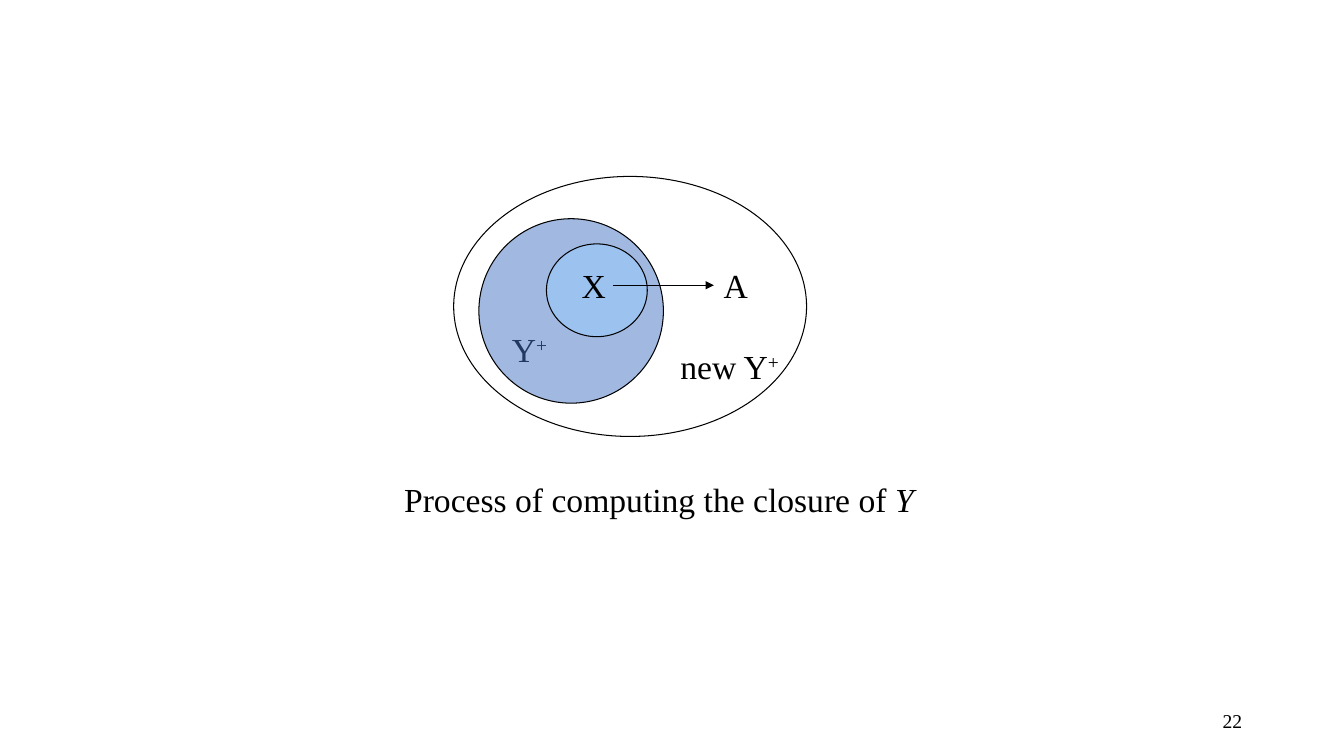
from pptx import Presentation
from pptx.dml.color import RGBColor
from pptx.enum.shapes import MSO_CONNECTOR, MSO_SHAPE
from pptx.enum.text import MSO_ANCHOR, MSO_AUTO_SIZE, PP_ALIGN
from pptx.oxml.ns import qn
from pptx.util import Inches, Pt
from lxml.etree import SubElement

BLACK = RGBColor(0x00, 0x00, 0x00)
BLUE = RGBColor(0x44, 0x72, 0xC4)
SKY = RGBColor(0x99, 0xCC, 0xFF)
FONT = "Times New Roman"
LINE_WIDTH = Pt(0.75)

# Ellipses: left, top, width, height, fill
CLOSURE = (4.75, 2.17, 1.83, 1.83, BLUE)
NEW_CLOSURE = (4.5, 1.75, 3.5, 2.58, None)
SUBSET = (5.42, 2.42, 1, 0.92, SKY)

# Labels: left, top, width, height, runs of (text, style)
CLOSURE_LABEL = (4.98, 3.21, 0.57, 0.5, [("Y", None), ("+", "super")])
NEW_CLOSURE_LABEL = (6.65, 3.38, 1.21, 0.5, [("new Y", None), ("+", "super")])
X_LABEL = (5.67, 2.58, 0.44, 0.5, [("X", None)])
A_LABEL = (7.08, 2.58, 0.44, 0.5, [("A", None)])
CAPTION = (3.91, 4.7, 5.35, 0.51,
           [("Process of computing the closure of ", None), ("Y", "italic")])
PAGE_NUMBER = (9.42, 6.95, 3, 0.4, [("22", None)])

ARROW = (6.08, 2.83, 7.08, 2.83)


def add_label(slide, left, top, width, height, runs, size=24):
    s = slide.shapes.add_textbox(*map(Inches, (left, top, width, height)))
    tf = s.text_frame
    tf.word_wrap = False
    tf.auto_size = MSO_AUTO_SIZE.SHAPE_TO_FIT_TEXT
    for text, style in runs:
        r = tf.paragraphs[0].add_run()
        r.text = text
        r.font.name = FONT
        r.font.size = Pt(size)
        r.font.color.rgb = BLACK
        if style == "italic":
            r.font.italic = True
        elif style == "super":
            r._r.get_or_add_rPr().set("baseline", "30000")
    return tf


def add_ellipse(slide, left, top, width, height, color):
    """Add an outlined ellipse, half transparent if it has a colour."""
    s = slide.shapes.add_shape(
        MSO_SHAPE.OVAL, *map(Inches, (left, top, width, height)))
    s.shadow.inherit = False
    s.line.color.rgb = BLACK
    s.line.width = LINE_WIDTH
    if color is None:
        s.fill.background()
    else:
        s.fill.solid()
        s.fill.fore_color.rgb = color
        clr = s.element.spPr.find(qn("a:solidFill")).find(qn("a:srgbClr"))
        SubElement(clr, qn("a:alpha"), val="50000")


def add_arrow(slide, *ends):
    c = slide.shapes.add_connector(MSO_CONNECTOR.STRAIGHT, *map(Inches, ends))
    c.line.color.rgb = BLACK
    c.line.width = LINE_WIDTH
    SubElement(c.line._get_or_add_ln(), qn("a:tailEnd"), type="triangle")
    SubElement(c.element.spPr, qn("a:effectLst"))


def main():
    prs = Presentation()
    prs.slide_width, prs.slide_height = Inches(13.33), Inches(7.5)
    slide = prs.slides.add_slide(prs.slide_layouts[6])

    tf = add_label(slide, *PAGE_NUMBER, size=14)
    tf.word_wrap = True
    tf.auto_size = MSO_AUTO_SIZE.NONE
    tf.vertical_anchor = MSO_ANCHOR.MIDDLE
    tf.paragraphs[0].alignment = PP_ALIGN.RIGHT

    # The closure label lies behind its tinted circle
    add_label(slide, *CLOSURE_LABEL)
    add_ellipse(slide, *CLOSURE)
    add_label(slide, *NEW_CLOSURE_LABEL)
    add_ellipse(slide, *NEW_CLOSURE)
    add_ellipse(slide, *SUBSET)
    add_label(slide, *X_LABEL)
    add_label(slide, *A_LABEL)
    add_arrow(slide, *ARROW)
    add_label(slide, *CAPTION)

    prs.save("out.pptx")


if __name__ == "__main__":
    main()
